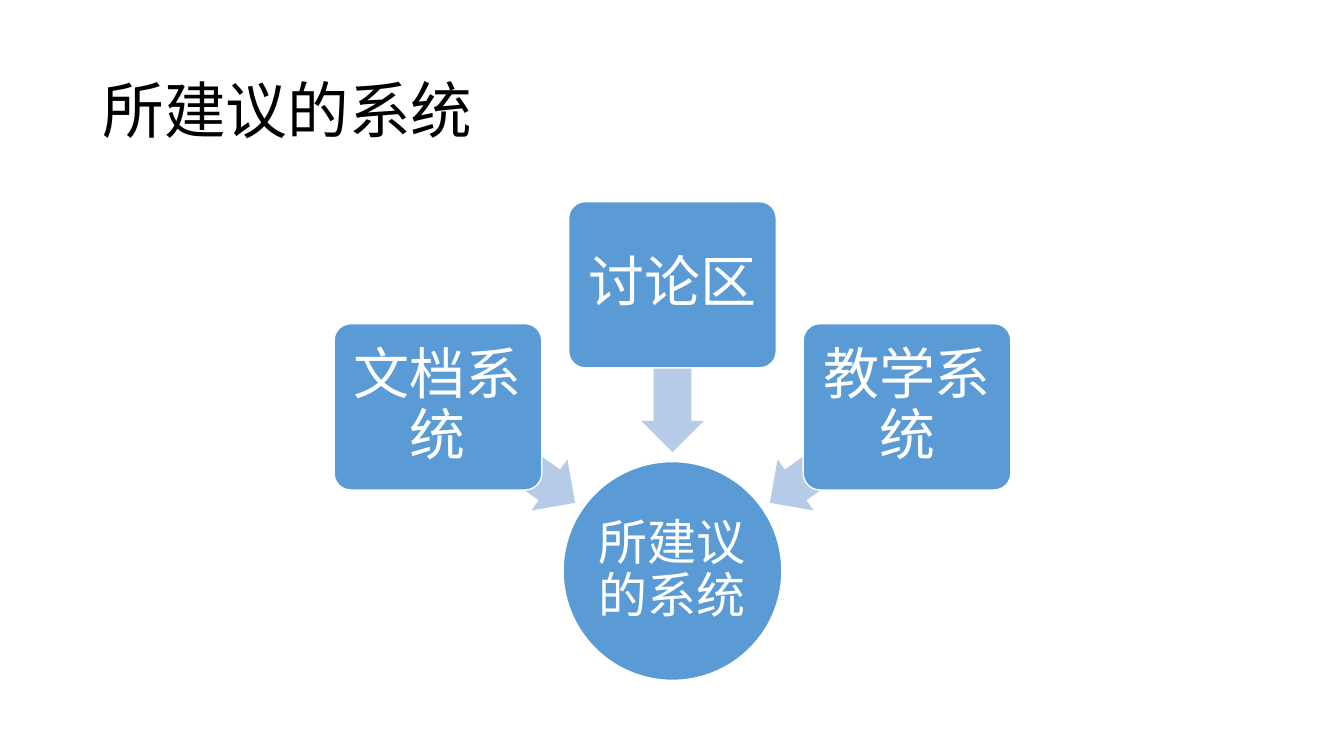
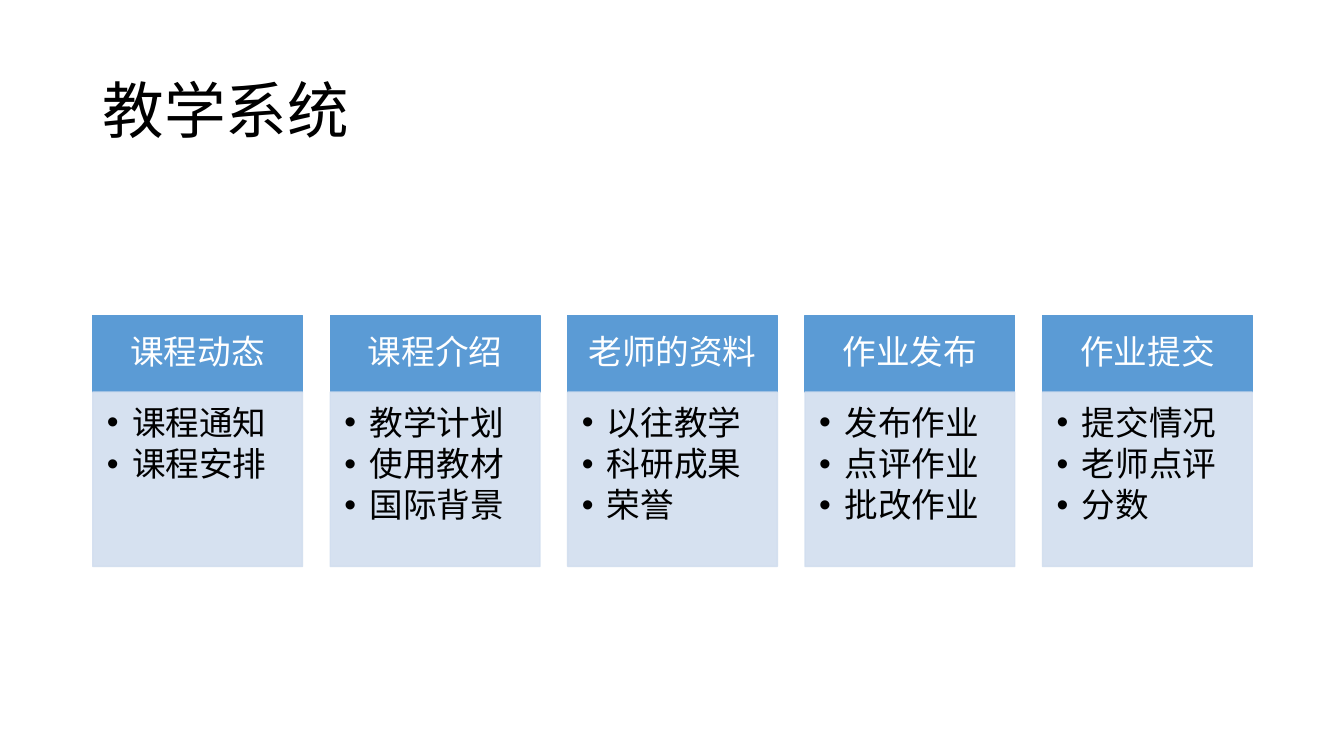
import math
from dataclasses import dataclass

import pptx
import pptx.util
import pptx.dml.color
import pptx.enum.shapes
import pptx.enum.text
import pptx.oxml.ns
from lxml import etree

Inches, Pt = pptx.util.Inches, pptx.util.Pt
RGB = pptx.dml.color.RGBColor.from_string
SHAPE = pptx.enum.shapes.MSO_SHAPE
ALIGN = pptx.enum.text.PP_ALIGN
ANCHOR = pptx.enum.text.MSO_ANCHOR
qn = pptx.oxml.ns.qn


@dataclass(frozen=True)
class Theme:
    font: str = "Noto Sans CJK SC"
    accent: str = "5B9BD5"
    arrow: str = "B5CBE7"
    panel: str = "D2DEEF"
    light: str = "FFFFFF"
    dark: str = "000000"
    title_size: int = 44
    node_size: int = 40
    hub_size: int = 35
    list_size: int = 24
    line_spacing: float = 0.9


T = Theme()
TITLE_BOX = (0.92, 0.4, 11.5, 1.45)


def write(sp, lines, size, color, align=ALIGN.CENTER, anchor=ANCHOR.MIDDLE,
          insets=(0.1, 0.05, 0.1, 0.05), after=0.35, bullet=False):
    tf = sp.text_frame
    tf.word_wrap = True
    tf.vertical_anchor = anchor
    tf.margin_left, tf.margin_top, tf.margin_right, tf.margin_bottom = map(Inches, insets)
    tf.text = "\n".join(lines)
    for p in tf.paragraphs:
        p.alignment = align
        p.line_spacing = T.line_spacing
        p.space_after = Pt(size * after)
        if bullet:
            pPr = p._p.get_or_add_pPr()
            pPr.set("marL", str(Inches(0.25)))
            pPr.set("indent", str(Inches(-0.25)))
            etree.SubElement(pPr, qn("a:buFont"), typeface="Arial")
            etree.SubElement(pPr, qn("a:buChar"), char="•")
        for r in p.runs:
            r.font.size = Pt(size)
            r.font.color.rgb = RGB(color)
            r.font.name = T.font
            etree.SubElement(r.font._element, qn("a:ea"), typeface=T.font)


def add_block(s, kind, box, fill, line=None, alpha=None):
    sp = s.shapes.add_shape(kind, *map(Inches, box))
    sp.shadow.inherit = False
    sp.fill.solid()
    sp.fill.fore_color.rgb = RGB(fill)
    if line:
        sp.line.color.rgb = RGB(line)
        sp.line.width = Pt(1)
    else:
        sp.line.fill.background()
    if alpha:
        for color in sp._element.spPr.iter(qn("a:srgbClr")):
            etree.SubElement(color, qn("a:alpha"), val=str(alpha * 1000))
    return sp


def add_title_slide(prs, title):
    s = prs.slides.add_slide(prs.slide_layouts[6])
    sp = s.shapes.add_textbox(*map(Inches, TITLE_BOX))
    write(sp, [title], T.title_size, T.dark, align=ALIGN.LEFT, after=0)
    return s


def add_converging_diagram(s, box, hub, nodes):
    x, y, w, h = box
    hub_d, node_w, node_h, arrow_w, arrow_h = 2.17, 2.06, 1.65, 1.66, 0.62
    node_radius, arrow_radius = 2.84, 2.01
    cx, cy = x + w / 2, y + h - hub_d / 2

    def around(radius, angle, width, height):
        a = math.radians(angle)
        return (cx + radius * math.cos(a) - width / 2,
                cy + radius * math.sin(a) - height / 2, width, height)

    sp = add_block(s, SHAPE.OVAL, around(0, 0, hub_d, hub_d), T.accent, T.light)
    write(sp, [hub], T.hub_size, T.light, insets=(0.02,) * 4)
    for i, node in enumerate(nodes):
        angle = 215 + 55 * i
        arrow = add_block(s, SHAPE.LEFT_ARROW,
                          around(arrow_radius, angle, arrow_w, arrow_h), T.arrow)
        arrow.adjustments[0] = 0.6
        arrow.adjustments[1] = 0.5
        arrow.rotation = angle
        sp = add_block(s, SHAPE.ROUNDED_RECTANGLE,
                       around(node_radius, angle, node_w, node_h), T.accent, T.light)
        sp.adjustments[0] = 0.1
        write(sp, [node], T.node_size, T.light, insets=(0.08,) * 4)


def add_list_columns(s, box, columns):
    x, y, w, h = box
    col_w, head_h = 2.08, 0.76
    step = (w - col_w) / (len(columns) - 1)
    for i, (heading, items) in enumerate(columns):
        left = x + i * step
        head = add_block(s, SHAPE.RECTANGLE, (left, y, col_w, head_h), T.accent, T.accent)
        write(head, [heading], T.list_size, T.light, insets=(0.19, 0.11, 0.19, 0.11))
        body = add_block(s, SHAPE.RECTANGLE, (left, y + head_h, col_w, h - head_h),
                         T.panel, T.panel, alpha=90)
        write(body, items, T.list_size, T.dark, ALIGN.LEFT, ANCHOR.TOP,
              (0.14, 0.14, 0.19, 0.21), after=0.15, bullet=True)


prs = pptx.Presentation()
prs.slide_width, prs.slide_height = Inches(13.33), Inches(7.5)

s = add_title_slide(prs, "所建议的系统")
add_converging_diagram(s, (0.92, 2, 11.5, 4.75), "所建议的系统",
                       ["文档系统", "讨论区", "教学系统"])

s = add_title_slide(prs, "教学系统")
add_list_columns(s, (0.92, 3.13, 11.5, 2.49), [
    ("课程动态", ["课程通知", "课程安排"]),
    ("课程介绍", ["教学计划", "使用教材", "国际背景"]),
    ("老师的资料", ["以往教学", "科研成果", "荣誉"]),
    ("作业发布", ["发布作业", "点评作业", "批改作业"]),
    ("作业提交", ["提交情况", "老师点评", "分数"]),
])

prs.save("out.pptx")
